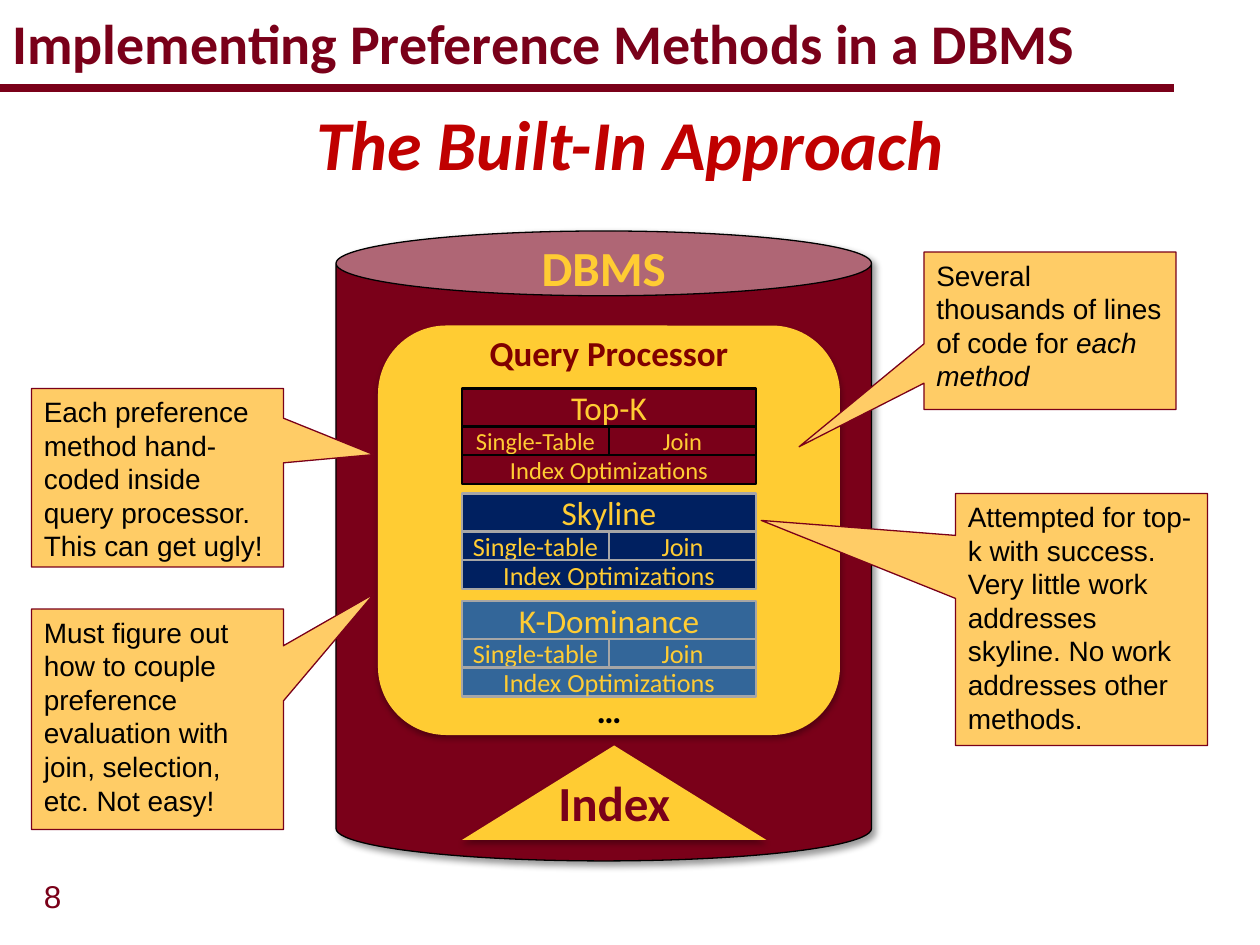
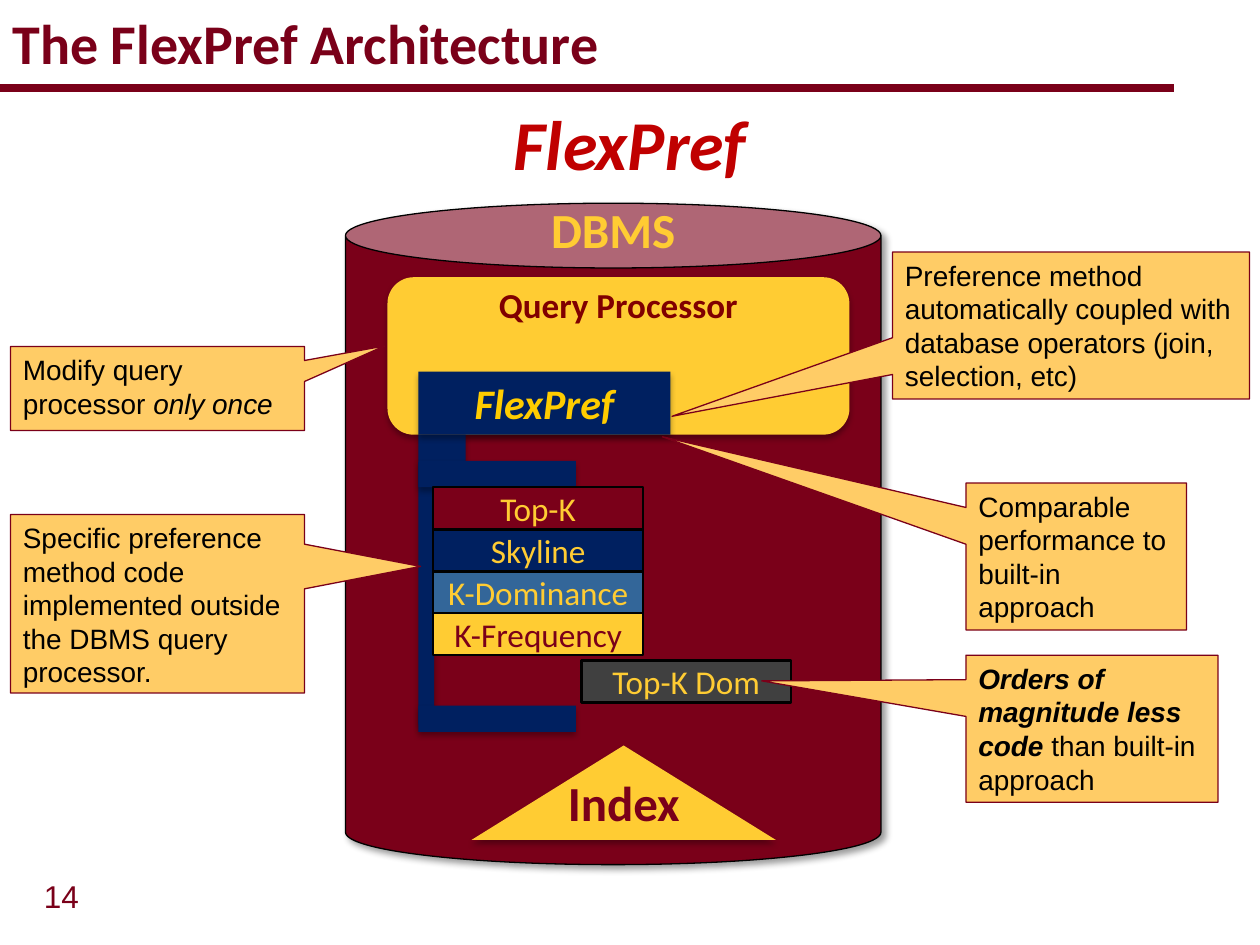
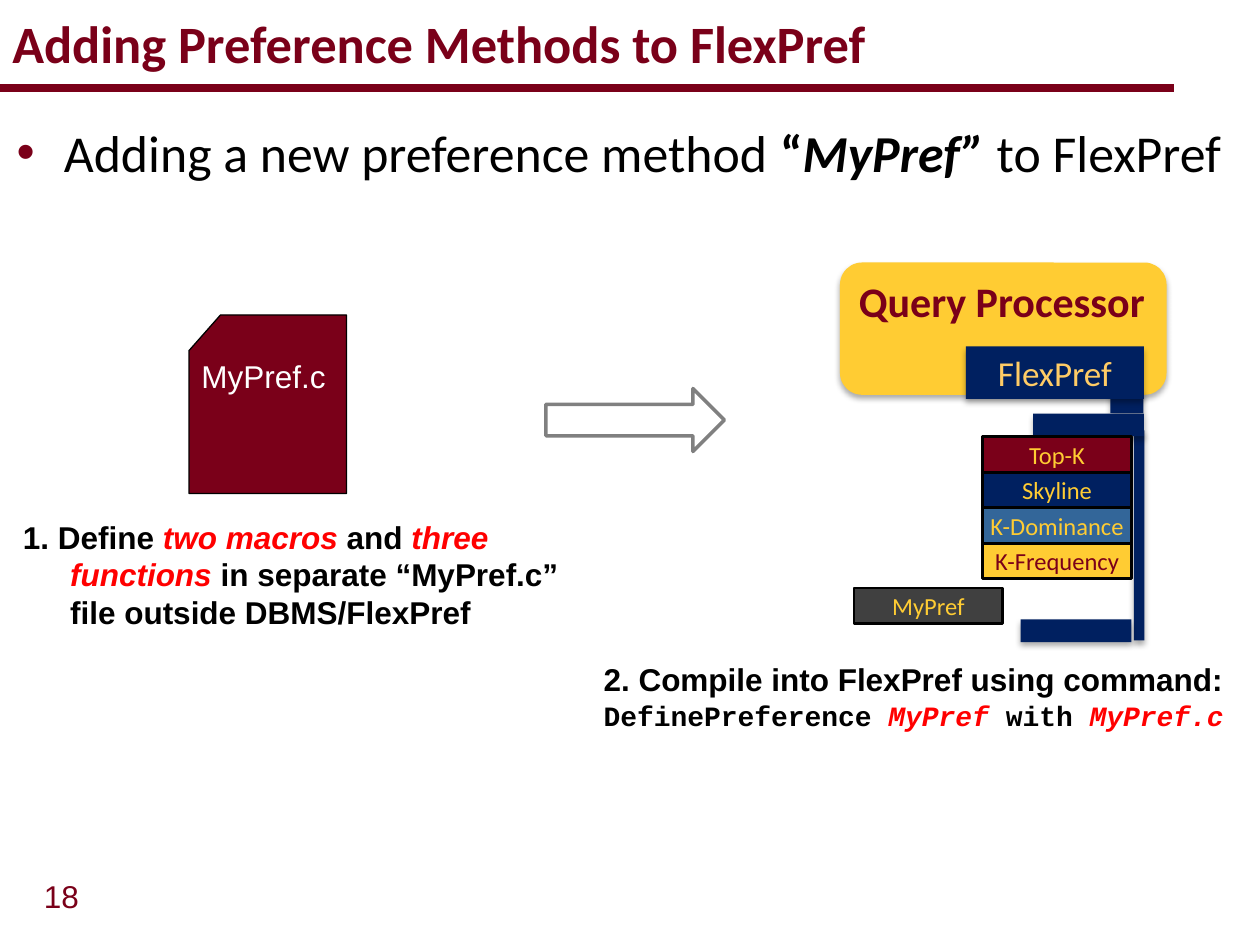
from dataclasses import dataclass
from typing import NamedTuple

from lxml.etree import SubElement
from pptx import Presentation
from pptx.dml.color import RGBColor as Rgb
from pptx.enum.shapes import MSO_CONNECTOR as Wire, MSO_SHAPE as Kind
from pptx.enum.text import MSO_ANCHOR as Anchor, PP_ALIGN as Align
from pptx.oxml.ns import qn
from pptx.util import Emu, Inches, Pt

COLS, ROWS = 120, 90
WIDE, TALL = Inches(10), Inches(7.5)


@dataclass(frozen=True)
class Theme:
    """Colours, faces and type sizes shared by the slides."""
    wine: str = "7A0019"
    maroon: str = "800000"
    gold: str = "FFCC33"
    lemon: str = "FFCC00"
    sand: str = "FFCC66"
    navy: str = "002060"
    steel: str = "336699"
    coal: str = "404040"
    grey: str = "808080"
    silver: str = "A6A6A6"
    black: str = "000000"
    white: str = "FFFFFF"
    red: str = "FF0000"
    brick: str = "C00000"
    head: str = "Calibri"
    text: str = "Arial"
    code: str = "Courier New"
    title: float = 32
    banner: float = 40
    label: float = 28
    body: float = 29.6
    large: float = 24
    mid: float = 20
    cell: float = 19
    plain: float = 18
    note: float = 16
    piece: float = 15
    small: float = 14


T = Theme()


class Box(NamedTuple):
    """A place on the grid, in columns and rows."""
    left: float
    top: float
    wide: float
    tall: float


class Shade(NamedTuple):
    """An outer shadow: strength in percent, lengths in points, angle in degrees."""
    alpha: int
    blur: float
    dist: float
    angle: int


class Bit(NamedTuple):
    """A run of text with its own look."""
    text: str
    look: dict = {}


@dataclass(frozen=True)
class Note:
    """A callout and the grid point of its tip."""
    box: Box
    tip: tuple[float, float]
    text: str | list[Bit]


@dataclass(frozen=True)
class Method:
    """A preference method with its three lower cells."""
    name: str
    top: float
    fill: str
    edge: str
    single: str = "Single-table"
    size: float = T.piece


@dataclass(frozen=True)
class Stack:
    """A pile of method cells and one loose cell beside it."""
    box: Box
    size: float
    loose: str
    spot: tuple[float, float]


@dataclass(frozen=True)
class Store:
    """A database drum with its query processor."""
    drum: Box
    proc: Box
    label: float


@dataclass(frozen=True)
class Page:
    """The frame of a slide."""
    number: int
    title: str
    size: float = T.title
    wide: float = 114
    banner: str = ""


SOFT = Shade(32, 3.5, 2.2, 90)
DEEP = Shade(40, 4, 3, 45)
LEAN = {"slant": True}
HOT = {"ink": T.red, "slant": True}
MONO = {"face": T.code, "size": T.note}


def across(cols: float) -> Emu:
    """Turn columns into a length."""
    return Emu(round(WIDE * cols / COLS))


def down(rows: float) -> Emu:
    """Turn rows into a length."""
    return Emu(round(TALL * rows / ROWS))


def place(box: Box) -> tuple[Emu, Emu, Emu, Emu]:
    """Turn a grid box into slide lengths."""
    return across(box.left), down(box.top), across(box.wide), down(box.tall)


def write(shape, text: str | list[Bit], *, size: float = T.plain, face: str = T.head,
          ink: str = T.black, bold: bool = False, slant: bool = False,
          align=Align.LEFT, anchor=Anchor.TOP, wrap: bool = True,
          hang: float = 0, mark: str = ""):
    """Write formatted text into a shape."""
    frame = shape.text_frame
    frame.word_wrap, frame.vertical_anchor = wrap, anchor
    para = frame.paragraphs[0]
    para.alignment = align
    if hang:
        props = para._p.get_or_add_pPr()
        props.set("marL", str(across(hang)))
        props.set("indent", str(-across(hang)))
        if mark:
            SubElement(SubElement(props, qn("a:buClr")), qn("a:srgbClr"), val=T.wine)
            SubElement(props, qn("a:buFont"), typeface=T.text)
            SubElement(props, qn("a:buChar"), char=mark)
    base = {"size": size, "face": face, "ink": ink, "bold": bold, "slant": slant}
    for bit in [Bit(text)] if isinstance(text, str) else text:
        if bit.text == "\n":
            para.add_line_break()
            continue
        look = base | bit.look
        run = para.add_run()
        run.text = bit.text
        font = run.font
        font.size, font.name = Pt(look["size"]), look["face"]
        font.bold, font.italic = look["bold"], look["slant"]
        font.color.rgb = Rgb.from_string(look["ink"])
    return shape


def label(shapes, box: Box, text: str | list[Bit], **look):
    """Add a text box."""
    return write(shapes.add_textbox(*place(box)), text, **look)


def draw(shapes, kind, box: Box, fill: str = "", edge: str = "",
         width: float = 0.75, shade: Shade | None = None):
    """Add a preset shape."""
    shape = shapes.add_shape(kind, *place(box))
    shape.shadow.inherit = False
    if fill:
        shape.fill.solid()
        shape.fill.fore_color.rgb = Rgb.from_string(fill)
    else:
        shape.fill.background()
    if edge:
        shape.line.color.rgb = Rgb.from_string(edge)
        shape.line.width = Pt(width)
    else:
        shape.line.fill.background()
    if shade:
        outer = SubElement(shape._element.spPr.find(qn("a:effectLst")), qn("a:outerShdw"),
                           blurRad=str(Pt(shade.blur)), dist=str(Pt(shade.dist)),
                           dir=str(shade.angle * 60000), algn="t", rotWithShape="0")
        tint = SubElement(outer, qn("a:srgbClr"), val=T.black)
        SubElement(tint, qn("a:alpha"), val=str(shade.alpha * 1000))
    return shape


def cell(shapes, box: Box, text: str, size: float, fill: str,
         edge: str = T.black, ink: str = T.gold) -> None:
    """Add a bordered cell with centred text."""
    write(draw(shapes, Kind.RECTANGLE, box, fill, edge, 1.5), text, size=size, ink=ink,
          align=Align.CENTER, anchor=Anchor.MIDDLE, wrap=False)


def bars(shapes, boxes: list[Box]) -> None:
    """Add the navy bars of the bracket."""
    for box in boxes:
        draw(shapes, Kind.RECTANGLE, box, T.navy, shade=SOFT)


def notes(shapes, items: list[Note]) -> None:
    """Add callouts that point at their tips."""
    for item in items:
        box = item.box
        shape = draw(shapes, Kind.RECTANGULAR_CALLOUT, box, T.sand, T.wine)
        shape.adjustments[0] = (item.tip[0] - box.left) / box.wide - 0.5
        shape.adjustments[1] = (item.tip[1] - box.top) / box.tall - 0.5
        write(shape, item.text, size=T.note, face=T.text)


def method(shapes, item: Method) -> None:
    """Add a method block: name, two halves and a foot."""
    group = shapes.add_group_shape().shapes
    left, wide, head, row = 44, 28, 3.6, 2.75
    half, mid = wide / 2, item.top + head
    look = (item.fill, item.edge)
    cell(group, Box(left, item.top, wide, head), item.name, T.cell, *look)
    for step, text in enumerate((item.single, "Join")):
        cell(group, Box(left + step * half, mid, half, row), text, item.size, *look)
    cell(group, Box(left, mid + row, wide, row), "Index Optimizations", item.size, *look)


def stack(shapes, item: Stack) -> None:
    """Add the pile of methods and the loose one."""
    left, top, wide, tall = item.box
    pile = (("Top-K", T.wine, T.gold), ("Skyline", T.navy, T.gold),
            ("K-Dominance", T.steel, T.gold), ("K-Frequency", T.gold, T.wine))
    for row, (name, fill, ink) in enumerate(pile):
        cell(shapes, Box(left, top + row * tall, wide, tall), name, item.size, fill, ink=ink)
    cell(shapes, Box(*item.spot, wide, tall), item.loose, item.size, T.coal)


def store(shapes, item: Store) -> None:
    """Add the drum, its query processor and its index."""
    left = item.drum.left
    mid = {"align": Align.CENTER, "bold": True}
    drum = draw(shapes, Kind.CAN, item.drum, T.wine, T.black, shade=DEEP)
    drum.adjustments[0] = 0.121
    draw(shapes, Kind.ROUNDED_RECTANGLE, item.proc, T.gold, shade=SOFT)
    label(shapes, Box(left + 5, item.proc.top, 42, 5.3), "Query Processor",
          size=T.mid, ink=T.maroon, **mid)
    label(shapes, Box(left + 18, item.label, 15, 6.8), "DBMS",
          size=T.label, ink=T.gold, **mid)
    group = shapes.add_group_shape().shapes
    draw(group, Kind.ISOSCELES_TRIANGLE, Box(left + 12, 71, 29, 9), T.gold, shade=SOFT)
    label(group, Box(left + 19, 73, 15, 6.8), "Index", size=T.label, ink=T.wine, **mid)


def start(deck, page: Page):
    """Add a blank slide with number, rule, title and banner."""
    shapes = deck.slides.add_slide(deck.slide_layouts[6]).shapes
    label(shapes, Box(3, 82.9, 6.1, 4.8), str(page.number), face=T.text, ink=T.wine)
    rule = shapes.add_connector(Wire.STRAIGHT, 0, down(8.4), across(111.85), down(8.4))
    rule.line.color.rgb = Rgb.from_string(T.wine)
    rule.line.width = Pt(4.5)
    SubElement(rule._element.spPr, qn("a:effectLst"))
    label(shapes, Box(0, 0, page.wide, 8), page.title, size=page.size, ink=T.wine,
          bold=True, anchor=Anchor.MIDDLE)
    if page.banner:
        label(shapes, Box(2, 9, 116, 9.2), page.banner, size=T.banner, ink=T.brick,
              bold=True, slant=True, align=Align.CENTER)
    return shapes


def built(deck) -> None:
    """Build the slide on the built-in approach."""
    shapes = start(deck, Page(8, "Implementing Preference Methods in a DBMS",
                              banner="The Built-In Approach"))
    store(shapes, Store(Box(32, 22, 51, 60), Box(36, 31, 44, 39), 22))
    for item in (Method("Top-K", 37, T.wine, T.black, "Single-Table", T.small),
                 Method("Skyline", 47, T.navy, T.silver),
                 Method("K-Dominance", 57.25, T.steel, T.silver)):
        method(shapes, item)
    label(shapes, Box(44, 65, 28, 5.3), "…", size=T.mid, bold=True, align=Align.CENTER)
    notes(shapes, [
        Note(Box(3, 37, 24, 17), (35.6, 43.3),
             "Each preference method hand-coded inside query processor. This can get ugly!"),
        Note(Box(91, 47, 24, 24), (72.5, 49.57),
             "Attempted for top-k with success. Very little work addresses skyline. "
             "No work addresses other methods."),
        Note(Box(3, 58, 24, 21), (35.6, 56.57),
             "Must figure out how to couple preference evaluation with join, selection, "
             "etc. Not easy!"),
        Note(Box(88, 24, 24, 15), (76.1, 42.55),
             [Bit("Several thousands of lines of code for "), Bit("each method", LEAN)]),
    ])


def flex(deck) -> None:
    """Build the slide on the architecture."""
    shapes = start(deck, Page(14, "The FlexPref Architecture", banner="FlexPref"))
    store(shapes, Store(Box(32.9, 19.35, 51, 63), Box(36.9, 26.4, 44, 15), 18.4))
    left, thick = 39.85, 2.5
    core = Box(left, 35.4, 24, 6)
    bars(shapes, [Box(left, 44, 1.5, 25), Box(left, 41.4, 4.5, thick),
                  Box(left, 43.9, 15, thick), core, Box(left, 67.2, 15, thick)])
    label(shapes, core, "FlexPref", size=T.large, ink=T.lemon, bold=True, slant=True,
          align=Align.CENTER)
    stack(shapes, Stack(Box(41.25, 46.4, 20, 4), T.cell, "Top-K Dom", (55.35, 62.9)))
    notes(shapes, [
        Note(Box(1, 33, 28, 8), (36.6, 32.95),
             [Bit("Modify query processor "), Bit("only once", LEAN)]),
        Note(Box(1, 49, 28, 17), (40.05, 53.95),
             "Specific preference method code implemented outside the DBMS query processor."),
        Note(Box(85, 24, 34, 14), (64, 39.65),
             "Preference method automatically coupled with database operators "
             "(join, selection, etc)"),
        Note(Box(92, 62.4, 24, 14), (72.55, 64.85),
             [Bit("Orders of magnitude less code ", {"bold": True, "slant": True}),
              Bit("than built-in approach")]),
        Note(Box(92, 46, 21, 14), (63.1, 41.6),
             "Comparable performance to built-in approach"),
    ])


def adding(deck) -> None:
    """Build the slide on adding a method."""
    shapes = start(deck, Page(18, "Adding Preference Methods to FlexPref", 30, COLS))
    proc = draw(shapes, Kind.ROUNDED_RECTANGLE, Box(80, 25, 31.1, 12.6), T.gold, shade=SOFT)
    write(proc, "Query Processor", size=T.large, ink=T.wine, bold=True)
    card = draw(shapes, Kind.FLOWCHART_CARD, Box(18, 30, 15, 17), T.wine, T.black)
    write(card, "MyPref.c", face=T.text, ink=T.white)
    arrow = draw(shapes, Kind.DOWN_ARROW, Box(57.5, 31.5, 6, 17), edge=T.grey, width=2)
    arrow.rotation = 270
    label(shapes, Box(1, 48.7, 54, 12.1),
          [Bit("1. Define "), Bit("two macros ", HOT), Bit("and "),
           Bit("three functions ", HOT),
           Bit("in separate “MyPref.c” file outside DBMS/FlexPref")],
          face=T.text, bold=True, hang=4.5)
    label(shapes, Box(56.3, 62.3, 63.7, 8),
          [Bit("2. Compile into FlexPref using command:"), Bit("\n"),
           Bit("DefinePreference ", MONO), Bit("MyPref ", MONO | HOT),
           Bit("with ", MONO), Bit("MyPref.c", MONO | HOT)],
          face=T.text, bold=True)
    label(shapes, Box(0.4, 10.9, 119, 11.8),
          [Bit("Adding a new preference method "), Bit("“", {"bold": True}),
           Bit("MyPref” ", {"bold": True, "slant": True}), Bit("to FlexPref")],
          size=T.body, hang=4.5, mark="•")
    thick = 2.15
    bars(shapes, [Box(108, 41, 1, 20), Box(105.75, 37.2, 3.15, thick),
                  Box(98.4, 39.4, 10.55, thick), Box(97.2, 59, 10.55, thick)])
    stack(shapes, Stack(Box(93.6, 41.6, 14.15, 3.38), T.small, "MyPref", (81.35, 56)))
    core = draw(shapes, Kind.RECTANGLE, Box(92, 33, 16.95, 5), T.navy, shade=SOFT)
    write(core, "FlexPref", size=T.mid, ink=T.sand, align=Align.CENTER,
          anchor=Anchor.MIDDLE, wrap=False)


def main() -> None:
    """Build and save the deck."""
    deck = Presentation()
    deck.slide_width, deck.slide_height = WIDE, TALL
    for build in (built, flex, adding):
        build(deck)
    deck.save("out.pptx")


if __name__ == "__main__":
    main()
